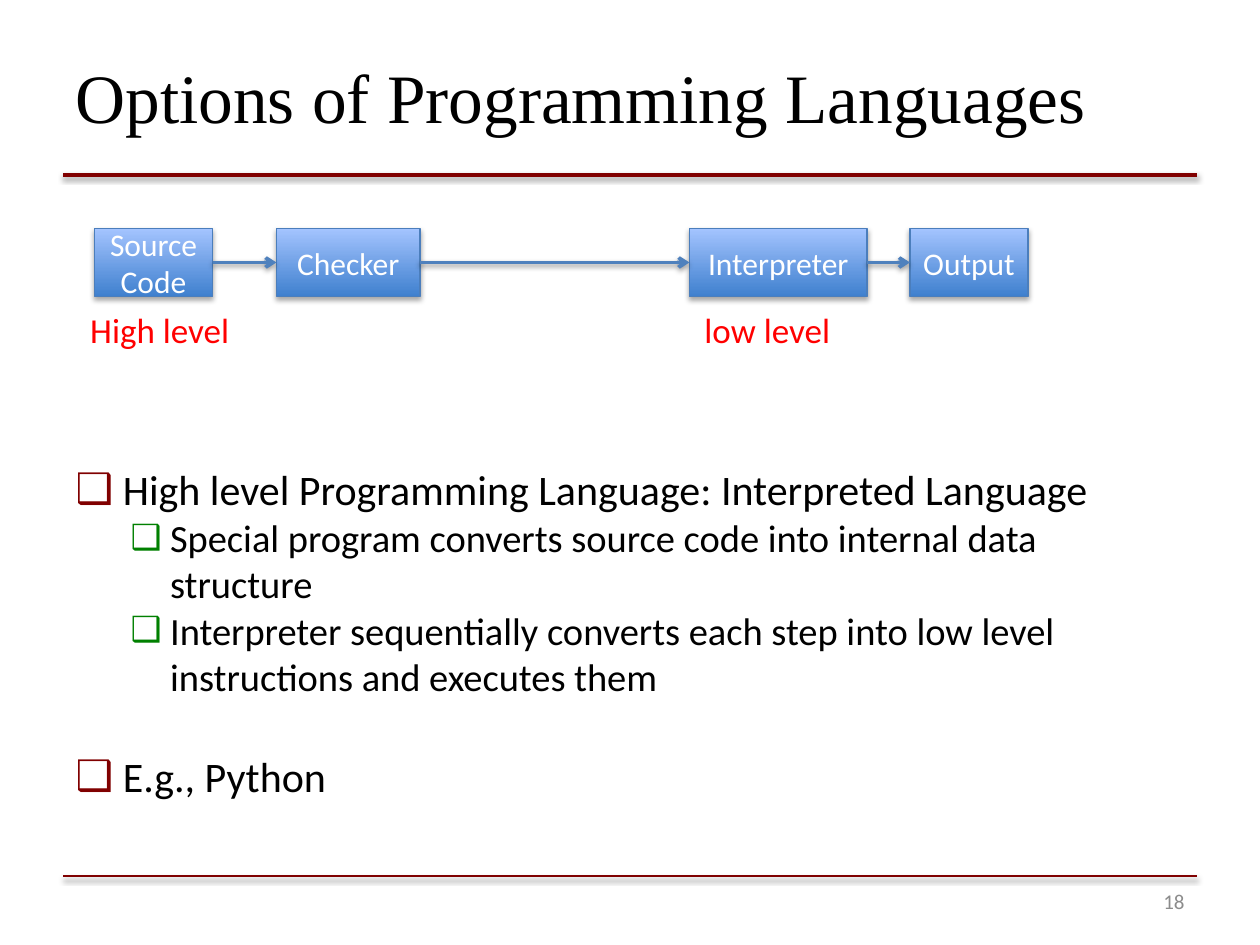
from itertools import pairwise

from lxml.etree import SubElement
from pptx import Presentation
from pptx.dml.color import RGBColor
from pptx.enum.shapes import MSO_CONNECTOR, MSO_SHAPE
from pptx.enum.text import MSO_ANCHOR, MSO_AUTO_SIZE, PP_ALIGN
from pptx.oxml.ns import qn
from pptx.util import Pt

STEPS = [("Source Code", 54, 67.5), ("Checker", 158, 82),
         ("Interpreter", 394, 101.5), ("Output", 520, 67.5)]
POINTS = [
    (0, "High level Programming Language: Interpreted Language", 0),
    (1, "Special program converts source code into internal data structure", 0),
    (1, "Interpreter sequentially converts each step into low level "
        "instructions and executes them", 0),
    (0, "E.g., Python", 29.3),
]
LEVELS = [(24, 27, 27, "800000", 100), (22, 54, 22.5, "008000", 90)]


def color(code):
    """Turn a hex string into a colour."""
    return RGBColor.from_string(code)


def place(shape, left, top, width, height):
    """Move and size a shape in points."""
    shape.left, shape.top = Pt(left), Pt(top)
    shape.width, shape.height = Pt(width), Pt(height)


def style(para, size, code, name="Calibri", align=PP_ALIGN.LEFT):
    """Format a paragraph and its runs."""
    para.alignment = align
    for run in para.runs:
        run.font.size = Pt(size)
        run.font.name = name
        run.font.color.rgb = color(code)


def shade(shape, alpha, dist):
    """Give a shape a soft shadow that falls straight down."""
    effects = SubElement(shape._element.spPr, qn("a:effectLst"))
    shadow = SubElement(effects, qn("a:outerShdw"), blurRad=str(Pt(3.1)),
                        dist=str(Pt(dist)), dir="5400000", rotWithShape="0")
    tint = SubElement(shadow, qn("a:srgbClr"), val="000000")
    SubElement(tint, qn("a:alpha"), val=str(alpha * 1000))


def add_line(slide, start, end, code, width):
    """Draw a straight line with a shadow."""
    line = slide.shapes.add_connector(
        MSO_CONNECTOR.STRAIGHT, *map(Pt, start + end))
    line.line.color.rgb = color(code)
    line.line.width = Pt(width)
    shade(line, 38, 1.6)
    return line


def add_arrow(slide, first, last):
    """Join the facing sides of two boxes with an arrow."""
    arrow = add_line(slide, (0, 0), (0, 0), "4F81BD", 2)
    arrow.begin_connect(first, 3)
    arrow.end_connect(last, 1)
    SubElement(arrow.line._get_or_add_ln(), qn("a:tailEnd"), type="arrow")


def add_box(slide, text, left, width):
    """Draw one step of the flow."""
    box = slide.shapes.add_shape(MSO_SHAPE.RECTANGLE, 0, 0, 0, 0)
    place(box, left, 130.5, width, 39)
    box.fill.gradient()
    box.fill.gradient_angle = 90
    for stop, code in zip(box.fill.gradient_stops, ("3F80CE", "A4C4FF")):
        stop.color.rgb = color(code)
    box.line.color.rgb = color("4B7EBC")
    box.line.width = Pt(0.75)
    shade(box, 35, 1.8)
    frame = box.text_frame
    frame.text = text
    frame.word_wrap = True
    frame.vertical_anchor = MSO_ANCHOR.MIDDLE
    style(frame.paragraphs[0], 18, "FFFFFF", align=PP_ALIGN.CENTER)
    return box


def add_label(slide, text, area, size, code, align=PP_ALIGN.LEFT):
    """Add one line of free text."""
    frame = slide.shapes.add_textbox(*map(Pt, area)).text_frame
    frame.text = text
    frame.word_wrap = True
    frame.vertical_anchor = MSO_ANCHOR.MIDDLE
    style(frame.paragraphs[0], size, code, align=align)


def set_title(slide, text):
    """Fill the title placeholder."""
    title = slide.shapes.title
    place(title, 36, 10, 648, 90)
    title.text_frame.text = text
    title.text_frame.vertical_anchor = MSO_ANCHOR.MIDDLE
    style(title.text_frame.paragraphs[0], 39.6, "000000", "Times New Roman")


def set_body(slide, points):
    """Fill the body placeholder with a list of two levels."""
    body = slide.placeholders[1]
    place(body, 36, 261.5, 648, 255)
    frame = body.text_frame
    frame.auto_size = MSO_AUTO_SIZE.NONE
    frame.text = "\n".join(text for _, text, _ in points)
    for para, (level, _, gap) in zip(frame.paragraphs, points):
        size, left, hang, code, scale = LEVELS[level]
        para.level = level
        para.space_before = Pt(gap)
        style(para, size, "000000")
        props = para._p.get_or_add_pPr()
        props.set("marL", str(Pt(left)))
        props.set("indent", str(-Pt(hang)))
        tint = SubElement(props, qn("a:buClr"))
        SubElement(tint, qn("a:srgbClr"), val=code)
        SubElement(props, qn("a:buSzPct"), val=str(scale * 1000))
        SubElement(props, qn("a:buChar"), char="❑")


def main():
    """Build the slide and save it."""
    deck = Presentation()
    deck.slide_width, deck.slide_height = Pt(720), Pt(540)
    slide = deck.slides.add_slide(deck.slide_layouts[1])
    for top, width in ((100, 2), (500.5, 1.25)):
        add_line(slide, (36, top), (684, top), "800000", width)
    set_title(slide, "Options of Programming Languages")
    set_body(slide, POINTS)
    add_label(slide, "18", (516, 500.5, 168, 29), 12, "8C8C8C", PP_ALIGN.RIGHT)
    boxes = [add_box(slide, *step) for step in STEPS]
    for first, last in pairwise(boxes):
        add_arrow(slide, first, last)
    for text, left in (("High level", 44.5), ("low level", 395.5)):
        add_label(slide, text, (left, 172, 100, 32), 20, "FF0000")
    deck.save("out.pptx")


if __name__ == "__main__":
    main()
